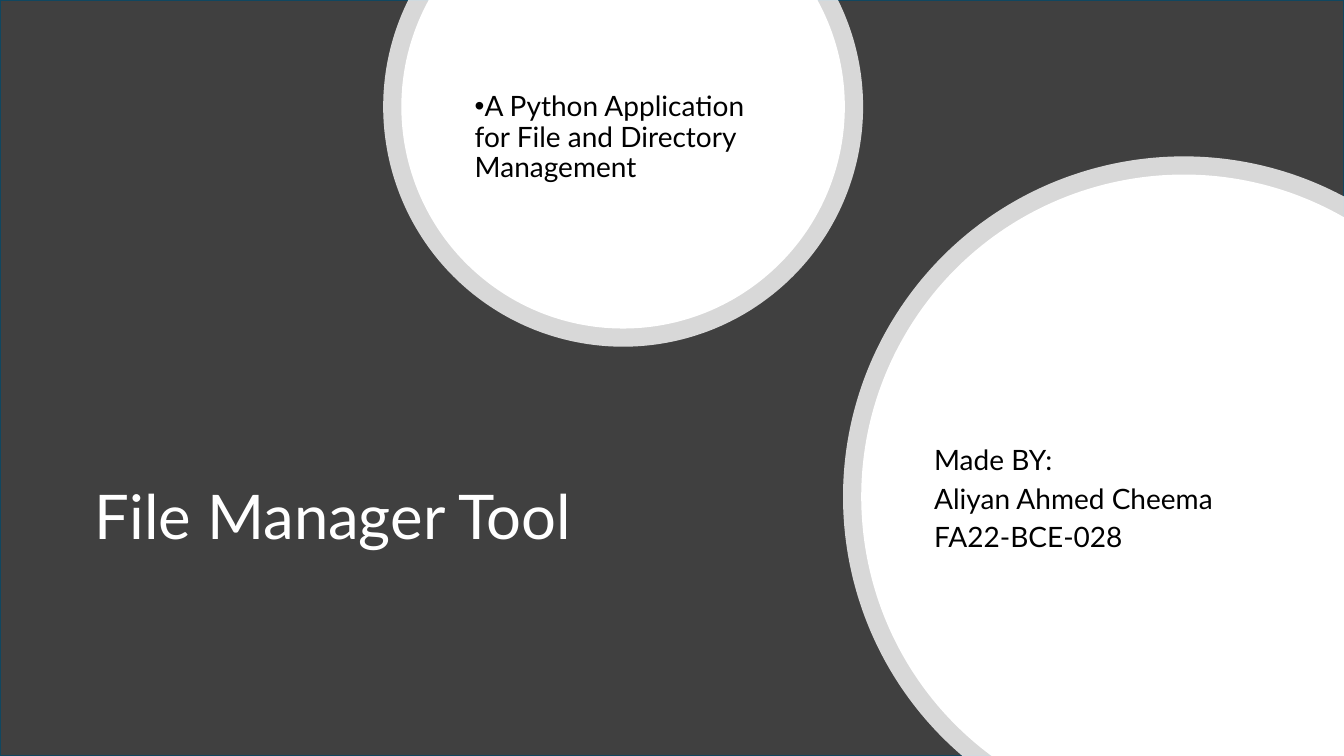
from dataclasses import dataclass
from math import acos, asin, ceil, cos, pi, sin, tan

from lxml.etree import SubElement
from pptx import Presentation
from pptx.dml.color import RGBColor
from pptx.enum.shapes import MSO_SHAPE
from pptx.enum.text import MSO_ANCHOR, MSO_AUTO_SIZE, PP_ALIGN
from pptx.oxml.ns import qn
from pptx.util import Pt

WIDTH, HEIGHT = 960, 540
FONT = "Lato"


@dataclass(frozen=True)
class Disc:
    cx: float
    cy: float
    radius: float
    in_corner: bool  # cut by the right and bottom edges, else by the top edge
    ring: float = 13


DISCS = [Disc(445.1, 76.3, 171.4, False), Disc(845.5, 355, 243.3, True)]


def paint(fmt, color: str) -> None:
    """Fill a shape, or colour a line or font, with a hex colour."""
    fill = getattr(fmt, "fill", fmt)
    fill.solid()
    fill.fore_color.rgb = RGBColor.from_string(color)


def visible_arc(d: Disc, radius: float) -> tuple[float, float]:
    """Return the clockwise start and end angle of the arc on the slide."""
    if d.in_corner:
        return (pi - asin((HEIGHT - d.cy) / radius),
                2 * pi - acos((WIDTH - d.cx) / radius))
    start = asin(-d.cy / radius)
    return start, pi - start


def add_circle(s, d: Disc, radius: float, opacity: int = 100) -> None:
    """Draw a white circle cut off at the slide edges."""
    left, top = max(d.cx - radius, 0), max(d.cy - radius, 0)
    right, bottom = min(d.cx + radius, WIDTH), min(d.cy + radius, HEIGHT)
    builder = s.shapes.build_freeform(Pt(left), Pt(top))
    builder.add_line_segments([(Pt(right), Pt(top)), (Pt(right), Pt(bottom)),
                               (Pt(left), Pt(bottom))])
    sp = builder.convert_to_shape()
    sp.shadow.inherit = False
    sp.line.fill.background()
    paint(sp, "FFFFFF")
    if opacity < 100:
        clr = sp.element.spPr.find(qn("a:solidFill"))[0]
        SubElement(clr, qn("a:alpha"), val=str(opacity * 1000))

    # Outline: equal Bézier arcs of at most a quarter turn
    outline = sp.element.spPr.find(".//" + qn("a:path"))
    for child in list(outline):
        outline.remove(child)

    def draw(command: str, *points: tuple) -> None:
        step = SubElement(outline, qn(f"a:{command}"))
        for x, y in points:
            SubElement(step, qn("a:pt"), x=str(Pt(x - left)), y=str(Pt(y - top)))

    def on_circle(angle: float, pull: float = 0) -> tuple[float, float]:
        return (d.cx + radius * (cos(angle) - pull * sin(angle)),
                d.cy + radius * (sin(angle) + pull * cos(angle)))

    start, end = visible_arc(d, radius)
    count = ceil((end - start) / (pi / 2))
    turn = (end - start) / count
    pull = 4 / 3 * tan(turn / 4)
    draw("moveTo", on_circle(start))
    for i in range(count):
        a, b = start + i * turn, start + (i + 1) * turn
        draw("cubicBezTo", on_circle(a, pull), on_circle(b, -pull), on_circle(b))
    if d.in_corner:
        draw("lnTo", (WIDTH, HEIGHT))
    draw("close")


def set_text(sp, text: str, *, box: tuple, size: float, color: str,
             before: float = 0, after: float = 0, bullet: str = "") -> None:
    """Place a text shape and write its lines as paragraphs."""
    sp.left, sp.top, sp.width, sp.height = (Pt(v) for v in box)
    tf = sp.text_frame
    tf.word_wrap = True
    tf.auto_size = MSO_AUTO_SIZE.NONE
    tf.vertical_anchor = MSO_ANCHOR.MIDDLE
    tf.text = text
    for p in tf.paragraphs:
        p.alignment = PP_ALIGN.LEFT
        p.line_spacing = 0.9
        p.space_before, p.space_after = Pt(before), Pt(after)
        if bullet:
            pPr = p._p.get_or_add_pPr()
            pPr.set("marL", "0")
            pPr.set("indent", str(-Pt(18)))
            SubElement(pPr, qn("a:buFont"), typeface="Arial")
            SubElement(pPr, qn("a:buChar"), char=bullet)
        for r in p.runs:
            r.font.name, r.font.size = FONT, Pt(size)
            paint(r.font, color)


def bring_to_front(sp) -> None:
    sp.element.getparent().append(sp.element)


def main() -> None:
    prs = Presentation()
    prs.slide_width, prs.slide_height = Pt(WIDTH), Pt(HEIGHT)
    s = prs.slides.add_slide(prs.slide_layouts[0])
    title, subtitle = s.shapes.title, s.placeholders[1]

    # Dark backdrop
    backdrop = s.shapes.add_shape(MSO_SHAPE.RECTANGLE, 0, 0, Pt(WIDTH), Pt(HEIGHT))
    backdrop.shadow.inherit = False
    paint(backdrop, "404040")
    paint(backdrop.line, "104760")
    backdrop.line.width = Pt(1.5)

    # Title
    bring_to_front(title)
    set_text(title, "File Manager Tool", box=(60.5, 275.8, 476.6, 190.8),
             size=44, color="FFFFFF")

    # Translucent rings with white discs on top
    for d in DISCS:
        add_circle(s, d, d.radius, opacity=80)
        add_circle(s, d, d.radius - d.ring)

    # Subtitle and author
    bring_to_front(subtitle)
    set_text(subtitle, "A Python Application for File and Directory Management",
             box=(331.9, 28.1, 226.8, 141.1), size=20, color="000000",
             before=10, bullet="•")
    author = s.shapes.add_textbox(0, 0, 0, 0)
    set_text(author, "Made BY:\nAliyan Ahmed Cheema\nFA22-BCE-028",
             box=(660.2, 247.7, 273.6, 218.9), size=20, color="000000", after=6)

    prs.save("out.pptx")


if __name__ == "__main__":
    main()
